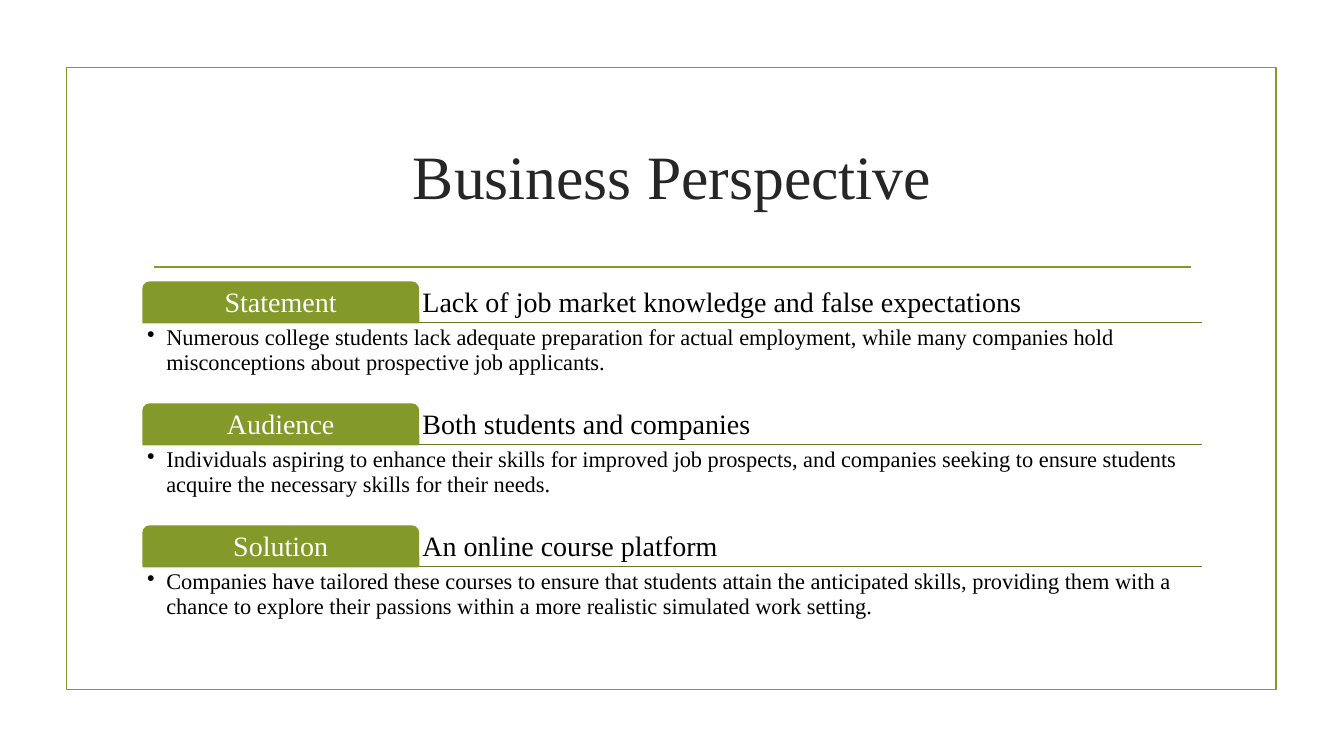
from lxml import etree
from pptx import Presentation
from pptx.dml.color import RGBColor
from pptx.enum.shapes import MSO_CONNECTOR, MSO_SHAPE
from pptx.enum.text import MSO_ANCHOR, PP_ALIGN
from pptx.oxml.ns import qn
from pptx.util import Inches, Pt

COLORS = {"green": "83992A", "dark_green": "697B22", "title": "262626",
          "black": "000000", "white": "FFFFFF"}
SECTIONS = [
    ("Statement", "Lack of job market knowledge and false expectations",
     "Numerous college students lack adequate preparation for actual employment, "
     "while many companies hold misconceptions about prospective job applicants."),
    ("Audience", "Both students and companies",
     "Individuals aspiring to enhance their skills for improved job prospects, and "
     "companies seeking to ensure students acquire the necessary skills for their needs."),
    ("Solution", "An online course platform",
     "Companies have tailored these courses to ensure that students attain the "
     "anticipated skills, providing them with a chance to explore their passions "
     "within a more realistic simulated work setting."),
]
LEFT, WIDTH = 1.42, 10.5
TAB_WIDTH, TAB_HEIGHT = 2.73, 0.4
FIRST_TOP, PITCH = 2.8, 1.21


def write_text(shape, text, size, color, anchor, align=PP_ALIGN.LEFT):
    frame = shape.text_frame
    frame.word_wrap = True
    frame.vertical_anchor = anchor
    frame.margin_left = frame.margin_right = Inches(0.04)
    frame.margin_top = frame.margin_bottom = Inches(0.04)
    paragraph = frame.paragraphs[0]
    paragraph.text = text
    paragraph.alignment = align
    paragraph.line_spacing = 0.9
    paragraph.font.name = "Times New Roman"
    paragraph.font.size = Pt(size)
    paragraph.font.color.rgb = RGBColor.from_string(COLORS[color])
    return paragraph


def add_rule(left, top, width, color):
    """Draw a horizontal line without a shadow."""
    rule = slide.shapes.add_connector(MSO_CONNECTOR.STRAIGHT, Inches(left), Inches(top),
                                      Inches(left + width), Inches(top))
    rule.line.color.rgb = RGBColor.from_string(COLORS[color])
    rule.line.width = Pt(1.25)
    etree.SubElement(rule._element.spPr, qn("a:effectLst"))


presentation = Presentation()
presentation.slide_width = Inches(13.33)
presentation.slide_height = Inches(7.5)
slide = presentation.slides.add_slide(presentation.slide_layouts[5])

frame_box = slide.shapes.add_shape(MSO_SHAPE.RECTANGLE, Inches(0.66), Inches(0.67),
                                   Inches(12), Inches(6.17))
frame_box.shadow.inherit = False
frame_box.fill.background()
frame_box.line.color.rgb = RGBColor.from_string(COLORS["green"])
frame_box.line.width = Pt(1.25)
add_rule(1.53, 2.65, 10.28, "green")

title = slide.shapes.title
title.left, title.top = Inches(LEFT), Inches(1.07)
title.width, title.height = Inches(WIDTH), Inches(1.43)
write_text(title, "Business Perspective", 44, "title", MSO_ANCHOR.MIDDLE, PP_ALIGN.CENTER)

for index, (label, headline, detail) in enumerate(SECTIONS):
    top = FIRST_TOP + index * PITCH
    bottom = top + TAB_HEIGHT
    add_rule(LEFT, bottom, WIDTH, "dark_green")

    headline_box = slide.shapes.add_textbox(
        Inches(LEFT + TAB_WIDTH), Inches(top), Inches(WIDTH - TAB_WIDTH), Inches(TAB_HEIGHT))
    write_text(headline_box, headline, 20, "black", MSO_ANCHOR.BOTTOM)

    tab = slide.shapes.add_shape(MSO_SHAPE.ROUND_2_SAME_RECTANGLE, Inches(LEFT), Inches(top),
                                 Inches(TAB_WIDTH), Inches(TAB_HEIGHT))
    tab.shadow.inherit = False
    tab.fill.solid()
    tab.fill.fore_color.rgb = RGBColor.from_string(COLORS["green"])
    tab.line.color.rgb = RGBColor.from_string(COLORS["green"])
    tab.line.width = Pt(1.25)
    write_text(tab, label, 20, "white", MSO_ANCHOR.MIDDLE, PP_ALIGN.CENTER)

    detail_box = slide.shapes.add_textbox(Inches(LEFT), Inches(bottom), Inches(WIDTH), Inches(0.8))
    paragraph = write_text(detail_box, detail, 16, "black", MSO_ANCHOR.TOP)
    properties = paragraph._p.get_or_add_pPr()
    properties.set("marL", str(Inches(0.19)))
    properties.set("indent", str(-Inches(0.19)))
    bullet = etree.Element(qn("a:buChar"), char="•")
    properties.find(qn("a:lnSpc")).addnext(bullet)

presentation.save("out.pptx")
